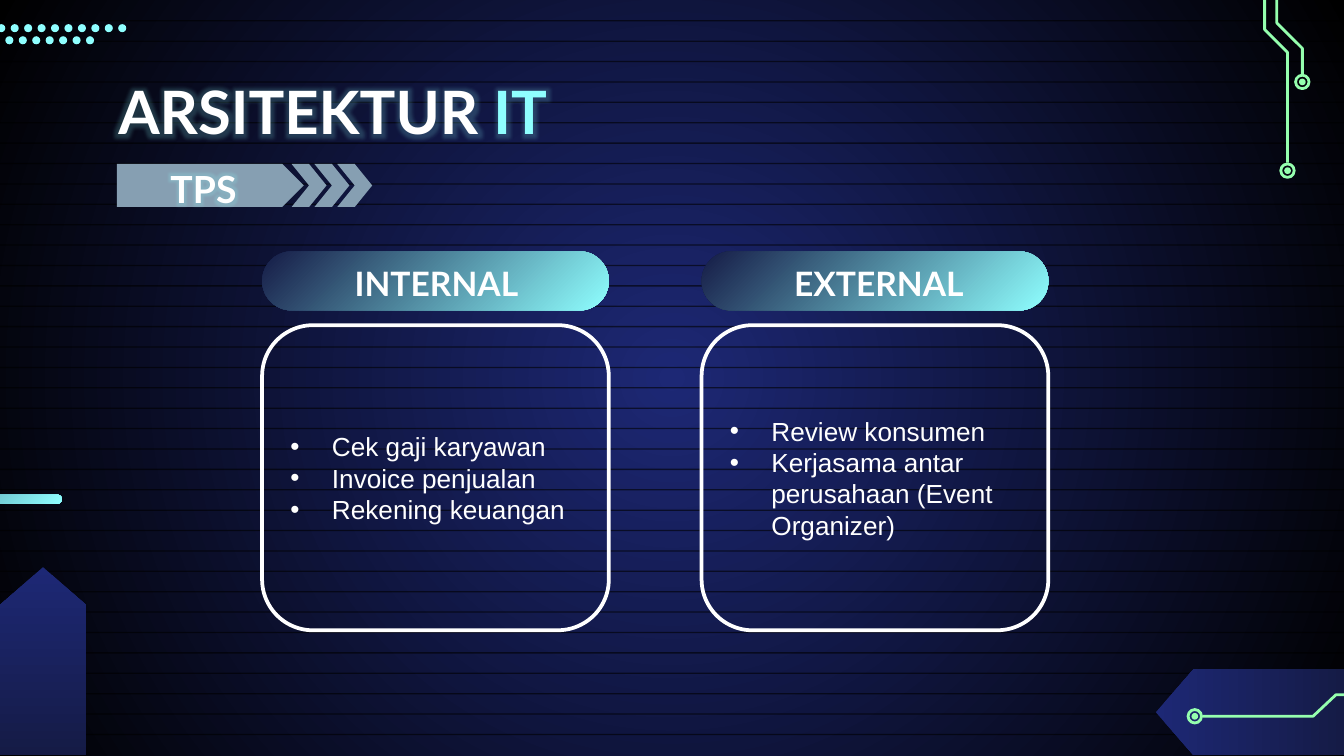
import pptx
import pptx.util
import pptx.dml.color
import pptx.enum.shapes
import pptx.enum.text
import pptx.oxml.ns
from lxml import etree

Inches, Pt = pptx.util.Inches, pptx.util.Pt
RGB = pptx.dml.color.RGBColor.from_string
MSO = pptx.enum.shapes.MSO_SHAPE
qn = pptx.oxml.ns.qn

COLORS = {
    "blue": "1D2875", "navy": "151B46", "black": "000000", "white": "FFFFFF",
    "cyan": "8FFFFF", "green": "95FFAE", "steel": "869FB2",
}

prs = pptx.Presentation()
prs.slide_width = Inches(10)
prs.slide_height = Inches(10) * 9 // 16  # widescreen
s = prs.slides.add_slide(prs.slide_layouts[3])  # title and two lists


def add_shape(kind, x, y, w, h, fill=None, line=None, width=1.5, angle=0, rotation=0):
    """Add a preset shape; a pair of fill colours makes a gradient."""
    sp = s.shapes.add_shape(kind, Inches(x), Inches(y), Inches(w), Inches(h))
    sp.shadow.inherit = False
    sp.rotation = rotation
    if isinstance(fill, tuple):
        sp.fill.gradient()
        sp.fill.gradient_angle = angle
        for stop, name in zip(sp.fill.gradient_stops, fill):
            stop.color.rgb = RGB(COLORS[name])
    elif fill:
        sp.fill.solid()
        sp.fill.fore_color.rgb = RGB(COLORS[fill])
    else:
        sp.fill.background()
    if line:
        sp.line.color.rgb = RGB(COLORS[line])
        sp.line.width = Pt(width)
    else:
        sp.line.fill.background()
    return sp


def write(sp, paragraphs, size, font="Lato", bold=True, inset=0.1, glow=False):
    """Fill a text frame; each paragraph is a list of (text, colour) runs."""
    tf = sp.text_frame
    frame_format = {
        "word_wrap": True, "auto_size": pptx.enum.text.MSO_AUTO_SIZE.NONE,
        "vertical_anchor": pptx.enum.text.MSO_ANCHOR.MIDDLE,
        "margin_left": Inches(inset), "margin_right": Inches(inset),
        "margin_top": Inches(0.1), "margin_bottom": Inches(0.1),
    }
    for name, value in frame_format.items():
        setattr(tf, name, value)
    for i, runs in enumerate(paragraphs):
        p = tf.paragraphs[0] if i == 0 else tf.add_paragraph()
        p.alignment = pptx.enum.text.PP_ALIGN.LEFT
        p.space_before = Pt(0)
        for text, color in runs:
            r = p.add_run()
            r.text = text
            for name, value in {"size": Pt(size), "name": font, "bold": bold}.items():
                setattr(r.font, name, value)
            r.font.color.rgb = RGB(COLORS[color])
            if glow:
                effects = etree.Element(qn("a:effectLst"))
                halo = etree.SubElement(effects, qn("a:glow"), rad=str(Pt(9)))
                clr = etree.SubElement(halo, qn("a:srgbClr"), val=COLORS["cyan"])
                etree.SubElement(clr, qn("a:alpha"), val="18000")
                r._r.rPr.find(qn("a:solidFill")).addnext(effects)


# Background: radial gradient
bg = s.background.fill
bg.gradient()
for stop, name in zip(bg.gradient_stops, ("blue", "black")):
    stop.color.rgb = RGB(COLORS[name])
lin = s.element.find(".//" + qn("a:lin"))
radial = etree.Element(qn("a:path"), path="circle")
etree.SubElement(radial, qn("a:fillToRect"), l="50000", t="50000", r="50000", b="50000")
lin.getparent().replace(lin, radial)

# Scan lines
LINES, FIRST, LAST = 36, 0.15, 5.46
for i in range(LINES):
    y = FIRST + i * (LAST - FIRST) / (LINES - 1)
    sp = add_shape(MSO.RECTANGLE, 0, y, 10, 0.01, "black")
    clr = sp.element.spPr.find(".//" + qn("a:srgbClr"))
    etree.SubElement(clr, qn("a:alpha"), val="59000")

# Corner pentagons
for x, y, rotation in ((8.98, 4.6, 90), (0, 4.22, 180)):
    add_shape(MSO.FLOWCHART_OFFPAGE_CONNECTOR, x, y, 0.64, 1.4,
              ("blue", "navy"), angle=90, rotation=rotation)

# Circuit traces, each ending in a ringed node
traces = [
    ([(9.41, -0.68), (9.41, 0.22), (9.58, 0.39), (9.58, 1.21)], (9.58, 1.27)),
    ([(9.5, -0.68), (9.5, 0.17), (9.69, 0.36), (9.69, 0.56)], (9.69, 0.61)),
    ([(10.84, 5.17), (9.94, 5.17), (9.77, 5.33), (8.95, 5.33)], (8.89, 5.33)),
]
for points, (cx, cy) in traces:
    points = [(Inches(x), Inches(y)) for x, y in points]
    builder = s.shapes.build_freeform(*points[0])
    builder.add_line_segments(points[1:], close=False)
    trace = builder.convert_to_shape()
    trace.shadow.inherit = False
    trace.fill.background()
    trace.line.color.rgb = RGB(COLORS["green"])
    trace.line.width = Pt(1.5)
    for size, fill, line in ((0.1, None, "green"), (0.05, "green", None)):
        add_shape(MSO.OVAL, cx - size / 2, cy - size / 2, size, size, fill, line)

# Dot rows and side bar
for x, y, count in ((0.04, 0.27, 7), (-0.02, 0.18, 10)):
    for i in range(count):
        add_shape(MSO.OVAL, x + 0.1 * i, y, 0.06, 0.06, "cyan")
bar = add_shape(MSO.ROUNDED_RECTANGLE, -1.72, 3.68, 2.18, 0.07, ("navy", "cyan"), angle=315)
bar.adjustments[0] = 0.5

# Title
title, *bodies = s.placeholders
title.left, title.top, title.width, title.height = map(Inches, (0.78, 0.51, 8.44, 0.63))
write(title, [[("ARSITEKTUR ", "white"), ("IT", "cyan")]], 32, glow=True)
s.shapes._spTree.append(title.element)  # in front of the scan lines

# Section tag with chevrons
add_shape(MSO.PENTAGON, 0.87, 1.22, 1.39, 0.32, "steel")
for i in range(3):
    add_shape(MSO.CHEVRON, 2.17 + 0.17 * i, 1.22, 0.26, 0.32, "steel")
tag = s.shapes.add_textbox(Inches(1.17), Inches(1.22), Inches(0.71), Inches(0.36))
write(tag, [[("TPS", "white")]], 20, glow=True)

# Two columns: heading pill, outlined card and list
columns = [
    (1.95, "INTERNAL", ["Cek gaji karyawan", "Invoice penjualan", "Rekening keuangan"]),
    (5.22, "EXTERNAL", ["Review konsumen", "Kerjasama antar perusahaan (Event Organizer)"]),
]
for (x, heading, items), body in zip(columns, bodies):
    pill = add_shape(MSO.ROUNDED_RECTANGLE, x, 1.87, 2.58, 0.44, ("navy", "cyan"), angle=315)
    pill.adjustments[0] = 0.5
    label = s.shapes.add_textbox(Inches(x + 0.59), Inches(1.93), Inches(1.48), Inches(0.36))
    write(label, [[(heading, "white")]], 18)

    card = (x, 2.42, 2.58, 2.27)
    add_shape(MSO.ROUNDED_RECTANGLE, *card, line="white", width=2)
    body.left, body.top, body.width, body.height = map(Inches, card)
    write(body, [[(item, "white")] for item in items], 14, "Arial", False, inset=0.21)
    s.shapes._spTree.append(body.element)
    for p in body.text_frame.paragraphs:
        pPr = p._p.get_or_add_pPr()
        pPr.set("marL", str(Inches(0.31)))
        pPr.set("indent", str(-Inches(0.31)))
        clr = etree.SubElement(pPr, qn("a:buClr"))
        etree.SubElement(clr, qn("a:srgbClr"), val=COLORS["white"])
        etree.SubElement(pPr, qn("a:buFont"), typeface="Arial")
        etree.SubElement(pPr, qn("a:buChar"), char="•")

prs.save("out.pptx")
